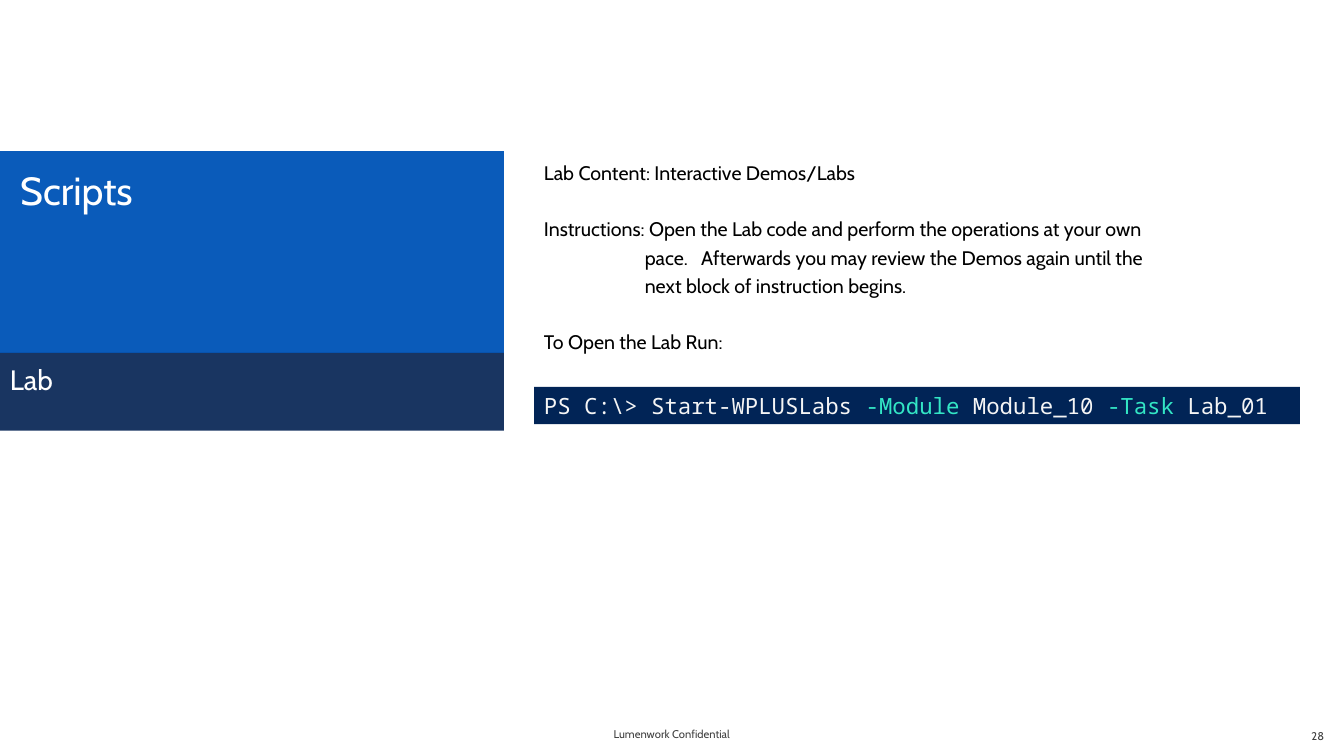
"""Build the lab slide with its title band, instructions and console command."""
from dataclasses import dataclass

from lxml.etree import SubElement
from pptx import Presentation
from pptx.dml.color import RGBColor
from pptx.enum.shapes import MSO_SHAPE
from pptx.enum.text import MSO_ANCHOR, PP_ALIGN
from pptx.oxml.ns import qn
from pptx.util import Cm, Pt


@dataclass(frozen=True)
class Theme:
    """Hold the colours, fonts and type sizes."""
    font: str = "Cabin"
    mono: str = "Noto Sans Mono"
    blue: str = "0A5BBA"
    navy: str = "002050"
    console: str = "012456"
    white: str = "FFFFFF"
    black: str = "000000"
    grey: str = "3F3F3F"
    command: str = "F5F5F5"
    parameter: str = "33E6C5"
    title_size: int = 28
    subtitle_size: int = 20
    command_size: int = 16
    body_size: int = 14
    footer_size: int = 8


class LabSlide:
    """Draw styled elements on one slide."""

    def __init__(self, deck, theme):
        """Add a title-only slide to the deck."""
        self.theme = theme
        self.slide = deck.slides.add_slide(deck.slide_layouts[5])

    def frame(self, element, insets, anchor=MSO_ANCHOR.TOP):
        """Set wrapping, insets and anchor, and return the text frame."""
        text = element.text_frame
        text.word_wrap = True
        text.vertical_anchor = anchor
        text.margin_left, text.margin_top, text.margin_right, text.margin_bottom = map(Cm, insets)
        return text

    def style(self, paragraph, size, color, font=None, align=PP_ALIGN.LEFT):
        """Format a whole paragraph."""
        paragraph.alignment = align
        paragraph.font.name = font or self.theme.font
        paragraph.font.size = Pt(size)
        if color:
            paragraph.font.color.rgb = RGBColor.from_string(color)

    def fill(self, element, color, opacity=100):
        """Fill an element with a colour at the given opacity."""
        element.fill.solid()
        element.fill.fore_color.rgb = RGBColor.from_string(color)
        if opacity < 100:
            tint = element.fill._xPr.find(qn("a:solidFill"))[0]
            SubElement(tint, qn("a:alpha")).set("val", str(opacity * 1000))

    def band(self, box, color, opacity=100):
        """Add a plain filled rectangle."""
        band = self.slide.shapes.add_shape(MSO_SHAPE.RECTANGLE, *map(Cm, box))
        band.shadow.inherit = False
        band.line.fill.background()
        self.fill(band, color, opacity)
        return band

    def title(self, box, words):
        """Place and format the title placeholder."""
        title = self.slide.shapes.title
        title.left, title.top, title.width, title.height = map(Cm, box)
        self.fill(title, self.theme.blue)
        text = self.frame(title, (0.51, 0.38, 0.25, 0.13))
        text.text = words
        self.style(text.paragraphs[0], self.theme.title_size, self.theme.white)

    def subtitle(self, box, words):
        """Add the translucent band under the title."""
        text = self.frame(self.band(box, self.theme.navy, 90), (0.25, 0.25, 0.25, 0.13))
        text.text = words
        self.style(text.paragraphs[0], self.theme.subtitle_size, self.theme.white)

    def instructions(self, box, entries, hanging):
        """Add spaced paragraphs, with a hanging indent on the one at index hanging."""
        text = self.frame(self.slide.shapes.add_textbox(*map(Cm, box)), (0.25, 0.13, 0.25, 0.13))
        text.text = "\n".join(entries)
        for index, paragraph in enumerate(text.paragraphs):
            self.style(paragraph, self.theme.body_size, self.theme.black)
            paragraph.line_spacing = 1.2
            if index:
                paragraph.space_before = Pt(20)
            if index == hanging:
                indents = paragraph._p.get_or_add_pPr()
                indents.set("marL", str(Cm(2.54)))
                indents.set("indent", str(-Cm(2.54)))

    def console(self, box, tokens):
        """Add a command line whose parameters are highlighted."""
        text = self.frame(self.band(box, self.theme.console), (0.25, 0.13, 0.25, 0.13))
        command = text.paragraphs[0]
        self.style(command, self.theme.command_size, None, self.theme.mono)
        for token in tokens:
            run = command.add_run()
            run.text = token
            color = self.theme.parameter if token.startswith("-") else self.theme.command
            run.font.color.rgb = RGBColor.from_string(color)

    def footer(self, left, top, words, align):
        """Add a small footer text."""
        box = self.slide.shapes.add_textbox(Cm(left), Cm(top), Cm(7.9), Cm(1.02))
        text = self.frame(box, (0.51, 0.13, 0.51, 0.13), MSO_ANCHOR.MIDDLE)
        text.text = words
        self.style(text.paragraphs[0], self.theme.footer_size, self.theme.grey, align=align)


deck = Presentation()
deck.slide_width, deck.slide_height = Cm(33.87), Cm(19.05)
lab = LabSlide(deck, Theme())
lab.footer(12.98, 17.98, "Lumenwork Confidential", PP_ALIGN.CENTER)
lab.title((0, 3.81, 12.7, 5.08), "Scripts")
lab.subtitle((0, 8.89, 12.7, 1.96), "Lab")
lab.footer(25.98, 18.03, "28", PP_ALIGN.RIGHT)
lab.instructions((13.46, 3.81, 16.61, 13.77), (
    "Lab Content: Interactive Demos/Labs",
    "Instructions: Open the Lab code and perform the operations at your own pace.   "
    "Afterwards you may review the Demos again until the next block of instruction begins.",
    "To Open the Lab Run:",
), hanging=1)
lab.console((13.46, 9.75, 19.3, 0.94),
            ("PS C:\\> Start-WPLUSLabs ", "-Module ", "Module_10 ", "-Task ", "Lab_01"))
deck.save("out.pptx")
